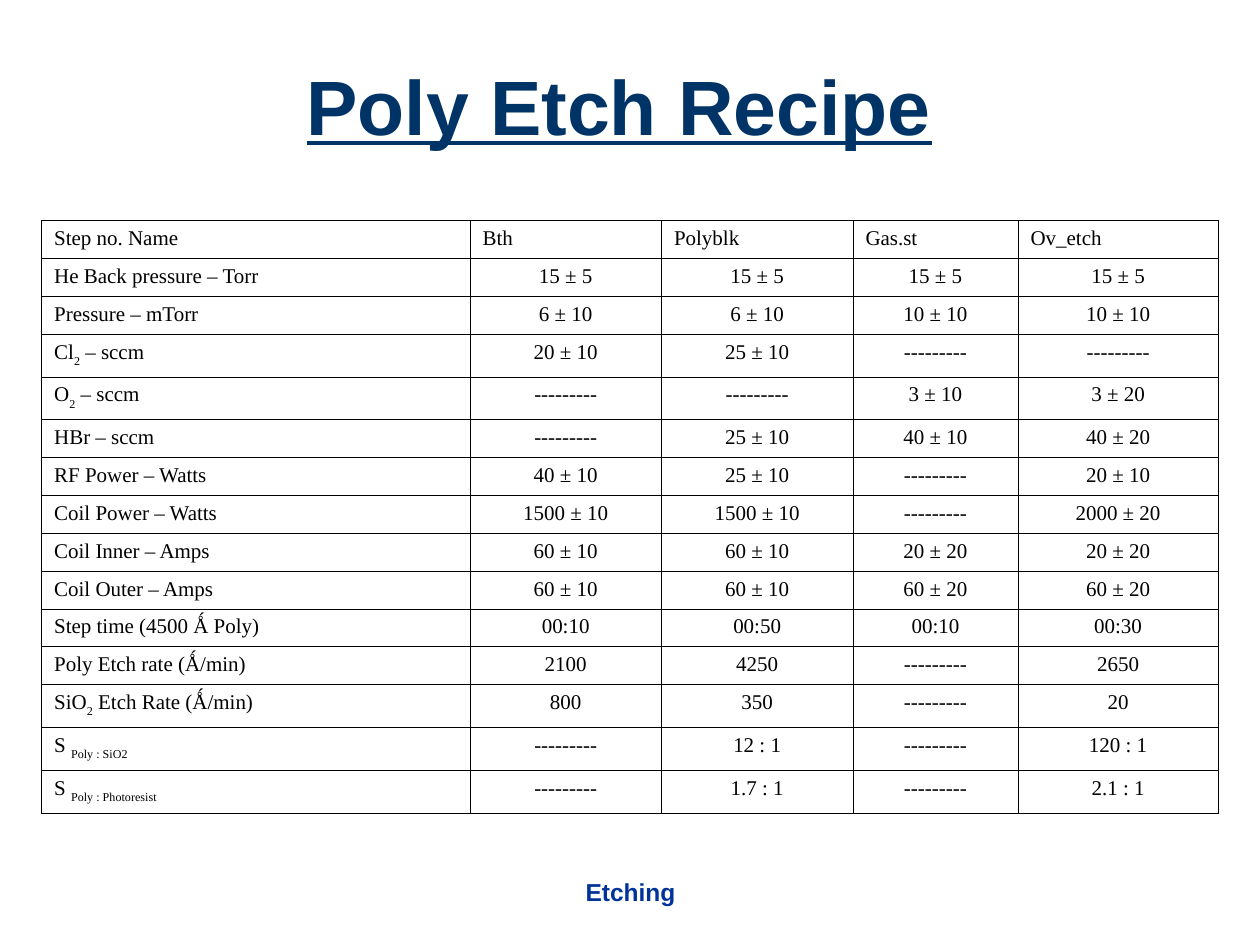
from dataclasses import dataclass

import lxml.etree
import pptx
import pptx.dml.color
import pptx.enum.text
import pptx.oxml.ns
import pptx.util
from pptx.util import Inches

ALIGN = pptx.enum.text.PP_ALIGN
NO_FLOW = "---------"
SUBSCRIPT_MARK = "~"  # text between two marks is set as subscript
INDENT = Inches(0.31)


@dataclass
class Heading:
    text: str
    left: float
    top: float
    width: float
    height: float
    size: int
    color: str
    underline: bool = False
    wrap: bool = True
    line_spacing: float = 1.0


@dataclass
class Parameter:
    label: str
    values: tuple[str, str, str, str]


HEADINGS = [
    Heading("Etching", 3.42, 6.83, 3.17, 0.5, 14, "003399", wrap=False),
    Heading("Poly Etch Recipe", 0.25, 0.25, 9.33, 1.25, 44, "003366",
            underline=True, line_spacing=0.9),
]

COLUMN_WIDTHS = [3.4, 1.52, 1.52, 1.31, 1.59]
PLAIN_ROW, SUBSCRIPT_ROW = 0.3, 0.34

RECIPE = [
    Parameter("Step no. Name", ("Bth", "Polyblk", "Gas.st", "Ov_etch")),
    Parameter("He Back pressure – Torr", ("15 ± 5", "15 ± 5", "15 ± 5", "15 ± 5")),
    Parameter("Pressure – mTorr", ("6 ± 10", "6 ± 10", "10 ± 10", "10 ± 10")),
    Parameter("Cl~2~ – sccm", ("20 ± 10", "25 ± 10", NO_FLOW, NO_FLOW)),
    Parameter("O~2~ – sccm", (NO_FLOW, NO_FLOW, "3 ± 10", "3 ± 20")),
    Parameter("HBr – sccm", (NO_FLOW, "25 ± 10", "40 ± 10", "40 ± 20")),
    Parameter("RF Power – Watts", ("40 ± 10", "25 ± 10", NO_FLOW, "20 ± 10")),
    Parameter("Coil Power – Watts", ("1500 ± 10", "1500 ± 10", NO_FLOW, "2000 ± 20")),
    Parameter("Coil Inner – Amps", ("60 ± 10", "60 ± 10", "20 ± 20", "20 ± 20")),
    Parameter("Coil Outer – Amps", ("60 ± 10", "60 ± 10", "60 ± 20", "60 ± 20")),
    Parameter("Step time (4500 Ǻ Poly)", ("00:10", "00:50", "00:10", "00:30")),
    Parameter("Poly Etch rate (Ǻ/min)", ("2100", "4250", NO_FLOW, "2650")),
    Parameter("SiO~2~ Etch Rate (Ǻ/min)", ("800", "350", NO_FLOW, "20")),
    Parameter("S ~Poly : SiO2~", (NO_FLOW, "12 : 1", NO_FLOW, "120 : 1")),
    Parameter("S ~Poly : Photoresist~", (NO_FLOW, "1.7 : 1", NO_FLOW, "2.1 : 1")),
]


def set_font(font: pptx.text.text.Font, name: str, size: int, color: str,
             bold: bool = False) -> None:
    font.name = name
    font.size = pptx.util.Pt(size)
    font.bold = bold
    font.color.rgb = pptx.dml.color.RGBColor.from_string(color)


def draw_heading(slide: pptx.slide.Slide, heading: Heading) -> None:
    box = slide.shapes.add_textbox(Inches(heading.left), Inches(heading.top),
                                   Inches(heading.width), Inches(heading.height))
    frame = box.text_frame
    frame.word_wrap = heading.wrap
    frame.vertical_anchor = pptx.enum.text.MSO_ANCHOR.MIDDLE
    frame.text = heading.text
    paragraph = frame.paragraphs[0]
    paragraph.alignment = ALIGN.CENTER
    paragraph.line_spacing = heading.line_spacing
    font = paragraph.runs[0].font
    set_font(font, "Arial", heading.size, heading.color, bold=True)
    font.underline = heading.underline


def set_borders(cell: pptx.table._Cell, top_width: float) -> None:
    properties = cell._tc.get_or_add_tcPr()
    for side in "LRTB":
        width = top_width if side == "T" else 0.45
        line = lxml.etree.SubElement(properties, pptx.oxml.ns.qn(f"a:ln{side}"),
                                     w=str(pptx.util.Pt(width)))
        fill = lxml.etree.SubElement(line, pptx.oxml.ns.qn("a:solidFill"))
        lxml.etree.SubElement(fill, pptx.oxml.ns.qn("a:srgbClr"), val="000000")


def fill_cell(cell: pptx.table._Cell, text: str, centered: bool,
              top_width: float) -> None:
    set_borders(cell, top_width)
    cell.fill.background()
    paragraph = cell.text_frame.paragraphs[0]
    paragraph.alignment = ALIGN.CENTER if centered else ALIGN.LEFT
    # Hanging indent
    paragraph_properties = paragraph._p.get_or_add_pPr()
    paragraph_properties.set("marL", str(INDENT))
    paragraph_properties.set("indent", str(-INDENT))
    for index, part in enumerate(text.split(SUBSCRIPT_MARK)):
        if not part:
            continue
        run = paragraph.add_run()
        run.text = part
        set_font(run.font, "Times New Roman", 12, "000000")
        if index % 2:
            run.font._element.set("baseline", "-30000")


def draw_recipe(slide: pptx.slide.Slide, recipe: list[Parameter]) -> None:
    heights = [SUBSCRIPT_ROW if SUBSCRIPT_MARK in parameter.label else PLAIN_ROW
               for parameter in recipe]
    table = slide.shapes.add_table(
        len(recipe), len(COLUMN_WIDTHS), Inches(0.33), Inches(1.75),
        Inches(sum(COLUMN_WIDTHS)), Inches(sum(heights))).table
    table.first_row = False
    table.horz_banding = False
    for column, width in zip(table.columns, COLUMN_WIDTHS):
        column.width = Inches(width)
    for row_index, (parameter, height) in enumerate(zip(recipe, heights)):
        table.rows[row_index].height = Inches(height)
        for column_index, text in enumerate((parameter.label, *parameter.values)):
            fill_cell(table.cell(row_index, column_index), text,
                      centered=row_index > 0 and column_index > 0,
                      top_width=0.45 if row_index else 0.96)


def main() -> None:
    presentation = pptx.Presentation()
    presentation.slide_width = Inches(10)
    presentation.slide_height = Inches(7.5)
    slide = presentation.slides.add_slide(presentation.slide_layouts[6])

    # Title and footer
    for heading in HEADINGS:
        draw_heading(slide, heading)

    # Recipe table
    draw_recipe(slide, RECIPE)

    presentation.save("out.pptx")


if __name__ == "__main__":
    main()
